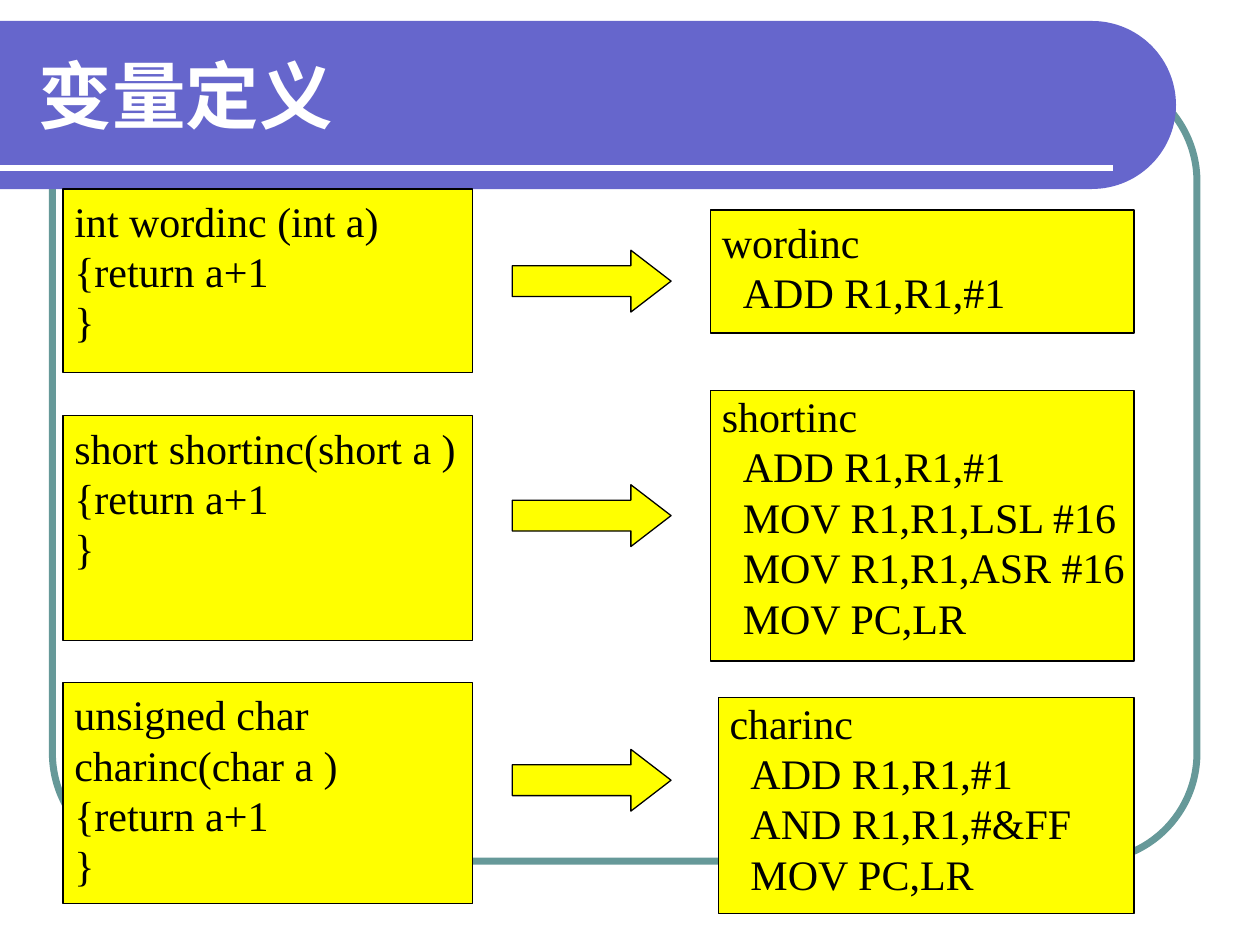
from math import cos, radians, sin

from lxml import etree
from pptx import Presentation
from pptx.dml.color import RGBColor
from pptx.enum.shapes import MSO_CONNECTOR, MSO_SHAPE
from pptx.enum.text import MSO_ANCHOR, PP_ALIGN
from pptx.oxml.ns import qn
from pptx.util import Pt

RECT = MSO_SHAPE.RECTANGLE
ROUND = MSO_SHAPE.ROUNDED_RECTANGLE
ARROW = MSO_SHAPE.RIGHT_ARROW
STRAIGHT = MSO_CONNECTOR.STRAIGHT
TOP, MIDDLE = MSO_ANCHOR.TOP, MSO_ANCHOR.MIDDLE
LEFT, JUSTIFY = PP_ALIGN.LEFT, PP_ALIGN.JUSTIFY

PADDED = (6.5, 3.6, 7.2, 3.6)
TIGHT = (6.5, 0, 0, 0)

CODE_BOXES = [
    ((36, 108, 234, 105.1), PADDED, ["int wordinc (int a)", "{return a+1", "}"]),
    ((36, 237.6, 234, 128.5), PADDED,
     ["short shortinc(short a )", "{return a+1", "}"]),
    ((36, 390, 234, 126.5), PADDED,
     ["unsigned char", "charinc(char a )", "{return a+1", "}"]),
]
ASSEMBLY_BOXES = [
    ((406, 120, 242, 70.4), PADDED, ["wordinc", "ADD R1,R1,#1"]),
    ((406, 223.2, 242, 154.6), TIGHT,
     ["shortinc", "ADD R1,R1,#1", "MOV R1,R1,LSL #16",
      "MOV R1,R1,ASR #16", "MOV PC,LR"]),
    ((410.4, 398.4, 237.6, 123.6), TIGHT,
     ["charinc", "ADD R1,R1,#1", "AND R1,R1,#&FF", "MOV PC,LR"]),
]
ARROW_TOPS = [143, 277, 428.2]


def rgb(value):
    """Turn a hex string into a colour."""
    return RGBColor.from_string(value)


class Deck:
    """Holds the style and the current slide, with a method per element."""

    purple, teal, yellow = "6666CC", "669999", "FFFF00"
    white, black = "FFFFFF", "000000"
    title_font, code_font = "Noto Sans CJK SC", "Times New Roman"

    def __init__(self):
        """Start a presentation with one blank slide."""
        self.prs = Presentation()
        self.prs.slide_width, self.prs.slide_height = Pt(720), Pt(540)
        self.s = self.prs.slides.add_slide(self.prs.slide_layouts[6])

    def paint(self, sp, fill=None, line=None, width=0.75):
        """Set fill and line, and remove the shadow."""
        sp.shadow.inherit = False
        if fill:
            sp.fill.solid()
            sp.fill.fore_color.rgb = rgb(fill)
        else:
            sp.fill.background()
        if line:
            sp.line.color.rgb = rgb(line)
            sp.line.width = Pt(width)
        else:
            sp.line.fill.background()

    def shape(self, kind, at, adjustments=(), **look):
        """Add a preset shape."""
        sp = self.s.shapes.add_shape(kind, *map(Pt, at))
        for i, value in enumerate(adjustments):
            sp.adjustments[i] = value
        self.paint(sp, **look)
        return sp

    def band(self, top, height, right, fill):
        """Add a band from the left edge with a half-round right end."""
        r = height / 2
        arc = [(right - r + r * cos(radians(a)), top + r + r * sin(radians(a)))
               for a in range(-90, 91, 3)]
        points = [(Pt(x), Pt(y)) for x, y in arc + [(0, top + height)]]
        builder = self.s.shapes.build_freeform(Pt(0), Pt(top))
        builder.add_line_segments(points, close=True)
        self.paint(builder.convert_to_shape(), fill)

    def rule(self, start, end, color, width):
        """Add a straight line."""
        sp = self.s.shapes.add_connector(STRAIGHT, *map(Pt, start + end))
        sp.line.color.rgb = rgb(color)
        sp.line.width = Pt(width)
        etree.SubElement(sp._element.spPr, qn("a:effectLst"))

    def frame(self, sp, insets, anchor):
        """Prepare the text frame of a shape."""
        tf = sp.text_frame
        left, top, right, bottom = map(Pt, insets)
        settings = {"word_wrap": True, "vertical_anchor": anchor,
                    "margin_left": left, "margin_top": top,
                    "margin_right": right, "margin_bottom": bottom}
        for name, value in settings.items():
            setattr(tf, name, value)
        return tf

    def fill_paragraph(self, p, text, color, alignment, **font):
        """Fill one paragraph with a single run."""
        p.alignment = alignment
        r = p.add_run()
        r.text = text
        for name, value in font.items():
            setattr(r.font, name, value)
        r.font.color.rgb = rgb(color)
        ea = etree.SubElement(r.font._element, qn("a:ea"))
        ea.set("typeface", font["name"])

    def title(self, at, text):
        """Add the slide title."""
        sp = self.s.shapes.add_textbox(*map(Pt, at))
        tf = self.frame(sp, (7.2, 3.6, 7.2, 3.6), MIDDLE)
        self.fill_paragraph(tf.paragraphs[0], text, self.white, LEFT,
                            name=self.title_font, size=Pt(42), bold=True)

    def listing(self, at, insets, lines, indent=0):
        """Add a code box, with every line after the first indented."""
        sp = self.shape(RECT, at, fill=self.yellow, line=self.black)
        tf = self.frame(sp, insets, TOP)
        for i, text in enumerate(lines):
            p = tf.add_paragraph() if i else tf.paragraphs[0]
            p.line_spacing = Pt(28.8)
            self.fill_paragraph(p, text, self.black, JUSTIFY,
                                name=self.code_font, size=Pt(24))
            if i and indent:
                p._p.get_or_add_pPr().set("marL", str(Pt(indent)))


def main():
    """Build the slide and save it."""
    deck = Deck()
    deck.shape(ROUND, (30, 42, 654, 450), [0.137], line=deck.teal, width=4)
    deck.band(12, 96, 672, deck.purple)
    deck.rule((0, 96), (636, 96), deck.white, 3)
    deck.title((15, 18, 631.5, 72), "变量定义")
    for box in CODE_BOXES:
        deck.listing(*box)
    for box in ASSEMBLY_BOXES:
        deck.listing(*box, indent=12)
    for top in ARROW_TOPS:
        deck.shape(ARROW, (292.8, top, 90.7, 35.3), [0.5, 0.65],
                   fill=deck.yellow, line=deck.black)
    deck.prs.save("out.pptx")


if __name__ == "__main__":
    main()
